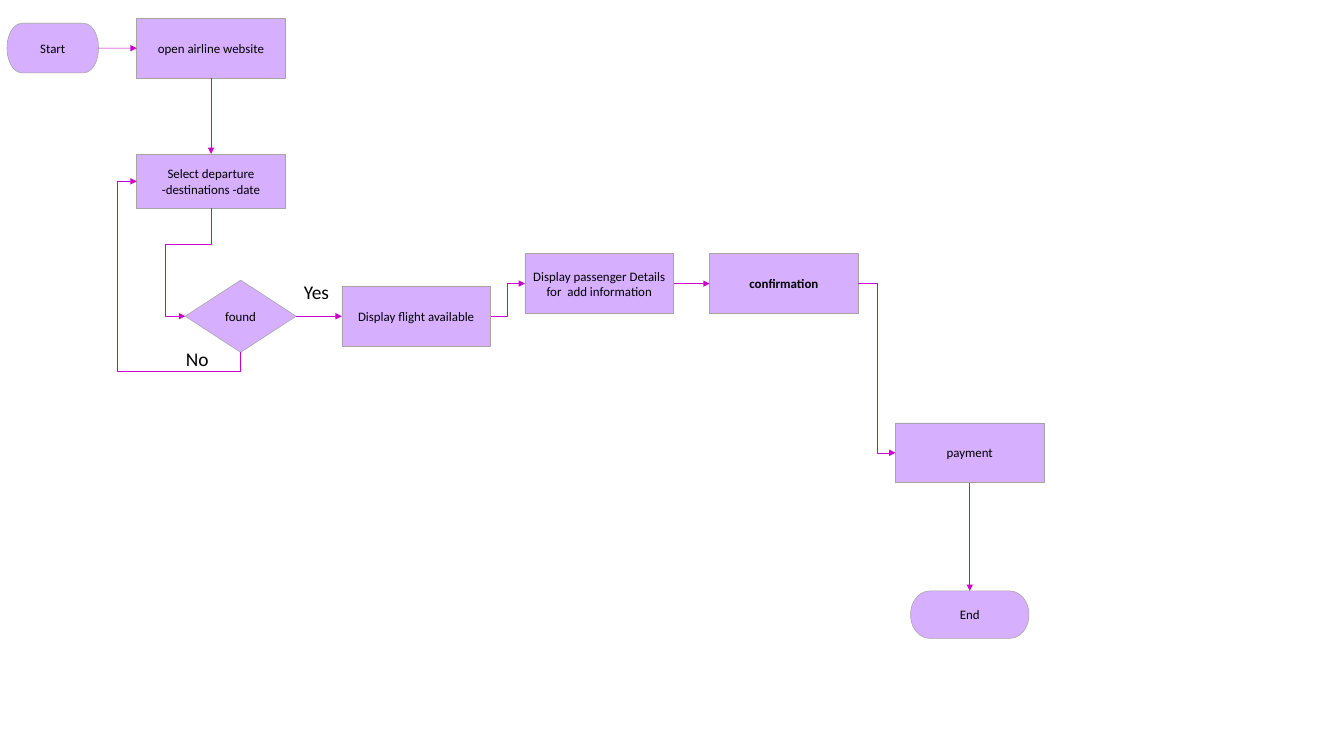
"""Draw the flight booking flowchart on one slide."""
from pptx import Presentation
from pptx.dml.color import RGBColor
from pptx.enum import shapes, text
from pptx.oxml.ns import qn
from pptx.util import Pt
from lxml import etree

LILAC = RGBColor(0xD7, 0xAF, 0xFF)
GRAY = RGBColor(0xA5, 0xA5, 0xA5)
PINK = RGBColor(0xCC, 0x00, 0xCC)
BLACK = RGBColor(0, 0, 0)
RECT = shapes.MSO_SHAPE.RECTANGLE
PILL = shapes.MSO_SHAPE.FLOWCHART_TERMINATOR
GEM = shapes.MSO_SHAPE.FLOWCHART_DECISION
LINE = shapes.MSO_CONNECTOR.STRAIGHT
BENT = shapes.MSO_CONNECTOR.ELBOW
TOP, LEFT, BASE, RIGHT = range(4)
WIDE, HIGH = 138, 55.5


def write(frame, words, size=12, bold=False, align=text.PP_ALIGN.CENTER):
    """Put formatted words into a text frame."""
    par = frame.paragraphs[0]
    par.alignment = align
    run = par.add_run()
    run.text = words
    font = run.font
    font.name, font.size, font.bold = "Calibri", Pt(size), bold
    font.color.rgb = BLACK


def node(slide, words, left, top, width=WIDE, height=HIGH, kind=RECT, bold=False):
    """Add one filled step of the flow."""
    step = slide.shapes.add_shape(kind, Pt(left), Pt(top), Pt(width), Pt(height))
    step.shadow.inherit = False
    step.fill.solid()
    step.fill.fore_color.rgb = LILAC
    step.line.color.rgb = GRAY
    step.line.width = Pt(0.5)
    frame = step.text_frame
    frame.word_wrap = True
    frame.margin_left = frame.margin_right = Pt(5)
    frame.vertical_anchor = text.MSO_ANCHOR.MIDDLE
    write(frame, words, bold=bold)
    return step


def label(slide, words, left, top, width):
    """Add the name of a branch."""
    box = slide.shapes.add_textbox(Pt(left), Pt(top), Pt(width), Pt(29))
    box.text_frame.word_wrap = True
    write(box.text_frame, words, size=18, align=text.PP_ALIGN.LEFT)


def link(slide, start, out, end, into, kind=LINE):
    """Join two steps with an arrow."""
    arrow = slide.shapes.add_connector(kind, 0, 0, 0, 0)
    arrow.begin_connect(start, out)
    arrow.end_connect(end, into)
    arrow.line.color.rgb = PINK
    arrow.line.width = Pt(0.5)
    etree.SubElement(arrow.line._get_or_add_ln(), qn("a:tailEnd"), type="triangle")
    etree.SubElement(arrow._element.spPr, qn("a:effectLst"))
    return arrow


def loop(slide, start, end, *bends):
    """Join a base to a left side with a three-bend arrow."""
    arrow = link(slide, start, BASE, end, LEFT, BENT)
    across = arrow.end_x - arrow.begin_x
    down = arrow.end_y - arrow.begin_y
    midx = (arrow.begin_x + arrow.end_x) // 2
    midy = (arrow.begin_y + arrow.end_y) // 2
    form = arrow._element.spPr.find(qn("a:xfrm"))
    for flip in ("flipH", "flipV"):
        form.attrib.pop(flip, None)
    form.set("rot", "5400000")
    if down < 0:
        form.set("flipH", "1")
    arrow.width, arrow.height = abs(down), abs(across)
    arrow.left, arrow.top = midx - abs(down) // 2, midy - abs(across) // 2
    geom = arrow._element.spPr.find(qn("a:prstGeom"))
    geom.set("prst", "bentConnector4")
    guides = geom.find(qn("a:avLst"))
    if guides is None:
        guides = etree.SubElement(geom, qn("a:avLst"))
    for rank, bend in enumerate(bends, 1):
        etree.SubElement(guides, qn("a:gd"), name=f"adj{rank}",
                         fmla=f"val {round(bend * 100000)}")


def main():
    """Build and save the slide."""
    deck = Presentation()
    deck.slide_width, deck.slide_height = Pt(1248), Pt(684)
    slide = deck.slides.add_slide(deck.slide_layouts[6])

    start = node(slide, "Start", 6.5, 21.6, 85, 46, PILL)
    site = node(slide, "open airline website", 127, 17)
    trip = node(slide, "Select departure -destinations -date", 127, 143, height=50.5)
    found = node(slide, "found", 172, 260, 103, 67, GEM)
    flight = node(slide, "Display flight available", 317.5, 265.75)
    guest = node(slide, "Display passenger Details for  add information", 487.5, 235.5)
    firm = node(slide, "confirmation", 659, 235.5, bold=True)
    pay = node(slide, "payment", 831.5, 392.5)
    end = node(slide, "End", 845.5, 548.5, 110, 44, PILL)

    link(slide, start, RIGHT, site, LEFT)
    link(slide, site, BASE, trip, TOP)
    loop(slide, trip, found, 0.33, 1.76)
    loop(slide, found, trip, -0.11, 1.19)
    link(slide, found, RIGHT, flight, LEFT)
    link(slide, flight, RIGHT, guest, LEFT, BENT)
    link(slide, guest, RIGHT, firm, LEFT)
    link(slide, firm, RIGHT, pay, LEFT, BENT)
    link(slide, pay, BASE, end, TOP)

    label(slide, "Yes", 275, 256.5, 42.5)
    label(slide, "No", 165.5, 319, 36.5)
    deck.save("out.pptx")


main()
